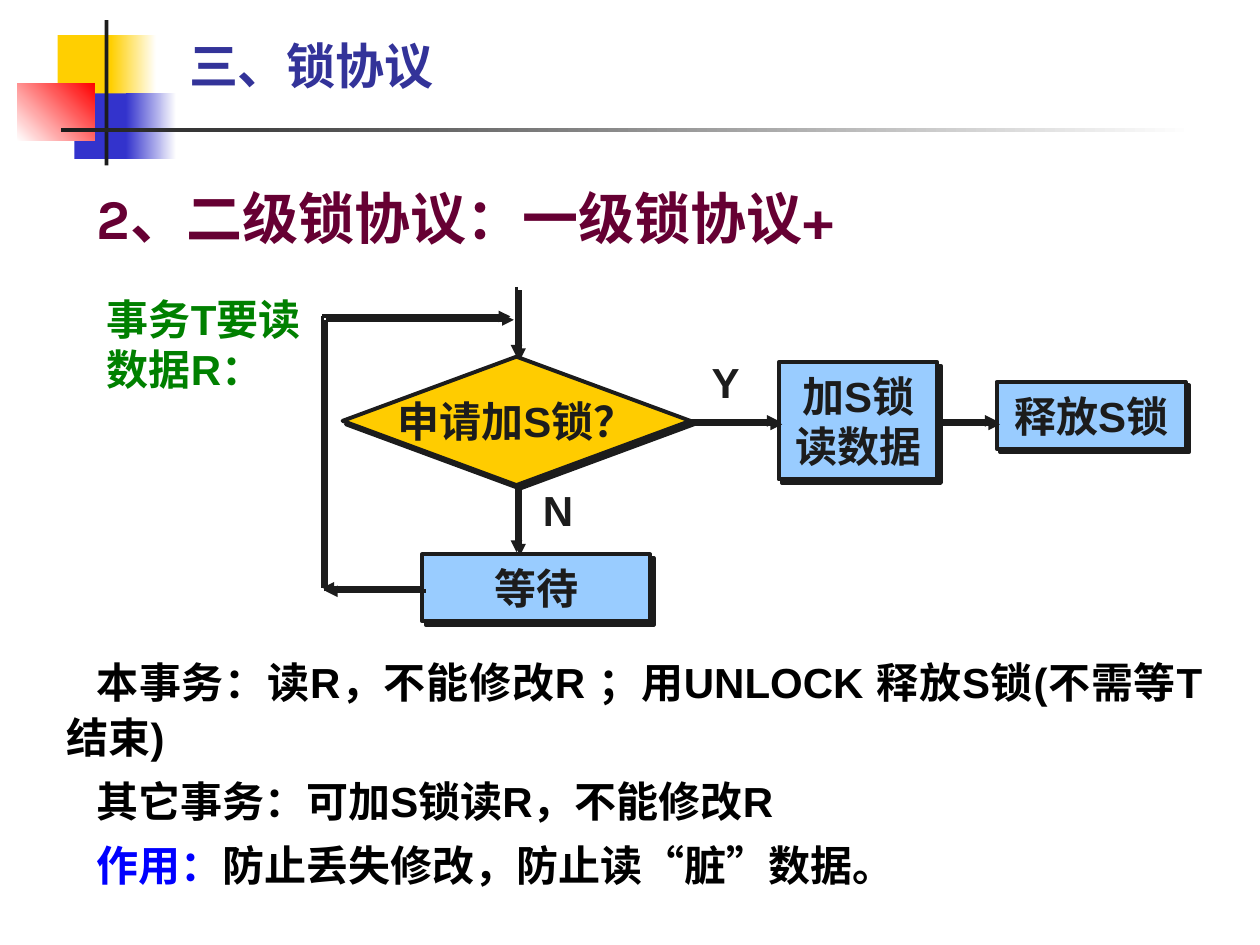
from lxml.etree import SubElement
from pptx import Presentation
from pptx.dml.color import RGBColor
from pptx.enum.shapes import MSO_CONNECTOR, MSO_SHAPE
from pptx.enum.text import MSO_ANCHOR, PP_ALIGN
from pptx.oxml.ns import qn
from pptx.util import Pt

COLORS = {
    "ink": "1C1C1C", "white": "FFFFFF", "black": "000000", "yellow": "FFCF01",
    "indigo": "3333CC", "red": "FF0000", "title": "333399", "heading": "660033",
    "green": "008000", "decision": "FFCC00", "step": "99CCFF", "blue": "0000FF",
}
RGB = {name: RGBColor.from_string(value) for name, value in COLORS.items()}
CJK_FONT = "Noto Sans CJK SC"


def cast_shadow(properties):
    """Add a hard shadow, down and to the right."""
    effects = SubElement(properties, qn("a:effectLst"))
    shadow = SubElement(effects, qn("a:outerShdw"), blurRad="0",
                        dist=str(Pt(2.8)), dir="2700000", algn="ctr", rotWithShape="0")
    SubElement(shadow, qn("a:srgbClr"), val=COLORS["ink"])


def add_run(paragraph, text, color, size=24, font="Arial", shadow=False):
    run = paragraph.add_run()
    run.text = text
    run.font.size, run.font.bold = Pt(size), True
    run.font.color.rgb = RGB[color]
    properties = run._r.get_or_add_rPr()
    if shadow:
        cast_shadow(properties)
    run.font.name = font
    SubElement(properties, qn("a:ea"), typeface=CJK_FONT)


prs = Presentation()
prs.slide_width, prs.slide_height = Pt(720), Pt(540)
slide = prs.slides.add_slide(prs.slide_layouts[5])
shapes = slide.shapes

# Corner ornament: box, start colour, end colour, gradient angle
ornament = [
    ((33, 20, 35, 37.5), "yellow", None, 0),
    ((63.4, 20, 25.9, 37.5), "yellow", "white", 0),
    ((42.5, 53.3, 33, 37.5), "indigo", None, 0),
    ((72, 53.3, 28.8, 37.5), "indigo", "white", 0),
    ((10, 47.5, 44, 33), "white", "red", 45),
    ((59.8, 11.5, 2.2, 83), "ink", None, 0),
    ((34.6, 73.4, 648, 2.2), "ink", "white", 0),
]
for box, start, end, angle in ornament:
    block = shapes.add_shape(MSO_SHAPE.RECTANGLE, *map(Pt, box))
    block.shadow.inherit = False
    block.line.fill.background()
    if end:
        block.fill.gradient()
        block.fill.gradient_angle = angle
        for stop, color in zip(block.fill.gradient_stops, (start, end)):
            stop.color.rgb = RGB[color]
    else:
        block.fill.solid()
        block.fill.fore_color.rgb = RGB[start]

# Title
title = shapes.title
title.left, title.top, title.width, title.height = map(Pt, (100.8, 21.6, 524, 31))
title.text_frame.vertical_anchor = MSO_ANCHOR.MIDDLE
title_line = title.text_frame.paragraphs[0]
title_line.alignment = PP_ALIGN.LEFT
add_run(title_line, "三、锁协议", "title", 28, CJK_FONT)

# Flow chart steps
steps = {
    "request": (MSO_SHAPE.DIAMOND, (195.8, 203.8, 198.7, 73.4), "decision", ["申请加S锁？"]),
    "wait": (MSO_SHAPE.RECTANGLE, (241.2, 316.8, 130.3, 38.2), "step", ["等待"]),
    "read": (MSO_SHAPE.RECTANGLE, (445, 207, 90.7, 67), "step", ["加S锁", "读数据"]),
    "release": (MSO_SHAPE.RECTANGLE, (569.5, 218.2, 108, 38.2), "step", ["释放S锁"]),
}
nodes = {}
for name, (kind, box, color, lines) in steps.items():
    node = nodes[name] = shapes.add_shape(kind, *map(Pt, box))
    node.fill.solid()
    node.fill.fore_color.rgb = RGB[color]
    node.line.color.rgb, node.line.width = RGB["ink"], Pt(2.25)
    cast_shadow(node._element.spPr)
    frame = node.text_frame
    frame.word_wrap = False
    frame.vertical_anchor = MSO_ANCHOR.MIDDLE
    for i, text in enumerate(lines):
        paragraph = frame.paragraphs[0] if i == 0 else frame.add_paragraph()
        paragraph.alignment = PP_ALIGN.CENTER
        add_run(paragraph, text, "ink")

# Flow lines: start, end, joined start, joined end, arrowhead
axis_x, axis_y = 295.15, 240.5
loop_x, loop_top, loop_bottom = 184.3, 180.8, 335.9
flows = [
    ((axis_x, 164), (axis_x, 203.8), None, ("request", 0), True),
    ((axis_x, 277.2), (axis_x, 315.5), ("request", 2), None, True),
    ((394.5, axis_y), (445, axis_y), ("request", 3), ("read", 1), True),
    ((535.7, axis_y), (569.5, axis_y), ("read", 3), None, True),
    ((241.2, loop_bottom), (loop_x, loop_bottom), ("wait", 1), None, True),
    ((loop_x, loop_bottom), (loop_x, loop_top), None, None, False),
    ((loop_x, loop_top), (291.6, loop_top), None, None, True),
]
for start, end, source, target, arrow in flows:
    flow = shapes.add_connector(MSO_CONNECTOR.STRAIGHT, *map(Pt, start + end))
    if source:
        flow.begin_connect(nodes[source[0]], source[1])
    if target:
        flow.end_connect(nodes[target[0]], target[1])
    flow.line.color.rgb, flow.line.width = RGB["ink"], Pt(2.25)
    if arrow:
        SubElement(flow.line._get_or_add_ln(), qn("a:tailEnd"), type="triangle")
    cast_shadow(flow._element.spPr)

# Flow chart labels
labels = [
    ("事务T要读数据R：", (54, 164.2, 131.8, 68.4), "green", True),
    ("Y", (399.6, 200.2, 30.2, 36), "ink", False),
    ("N", (303.1, 273.6, 31.7, 36), "ink", False),
]
for text, box, color, wrap in labels:
    label = shapes.add_textbox(*map(Pt, box)).text_frame
    label.word_wrap = wrap
    add_run(label.paragraphs[0], text, color, shadow=True)

# Explanation
explanation = shapes.add_textbox(*map(Pt, (31, 368.6, 663, 145.4))).text_frame
explanation.word_wrap = True
remarks = [
    [("本事务：读R，不能修改R ；用UNLOCK 释放S锁(不需等T结束)", "black")],
    [("其它事务：可加S锁读R，不能修改R", "black")],
    [("作用：", "blue"), ("防止丢失修改，防止读“脏”数据。", "black")],
]
for i, runs in enumerate(remarks):
    remark = explanation.paragraphs[0] if i == 0 else explanation.add_paragraph()
    remark.alignment = PP_ALIGN.JUSTIFY
    remark.line_spacing = 1.1
    if i:
        remark.space_before = Pt(4.8)
    remark._p.get_or_add_pPr().set("indent", str(Pt(17)))
    for text, color in runs:
        add_run(remark, text, color)

# Section heading
heading = shapes.add_textbox(*map(Pt, (48.2, 93.6, 521.3, 51.8))).text_frame
heading.word_wrap = True
heading.paragraphs[0].line_spacing = 1.2
add_run(heading.paragraphs[0], "2、二级锁协议：一级锁协议+", "heading", 32, "Karla")

prs.save("out.pptx")
